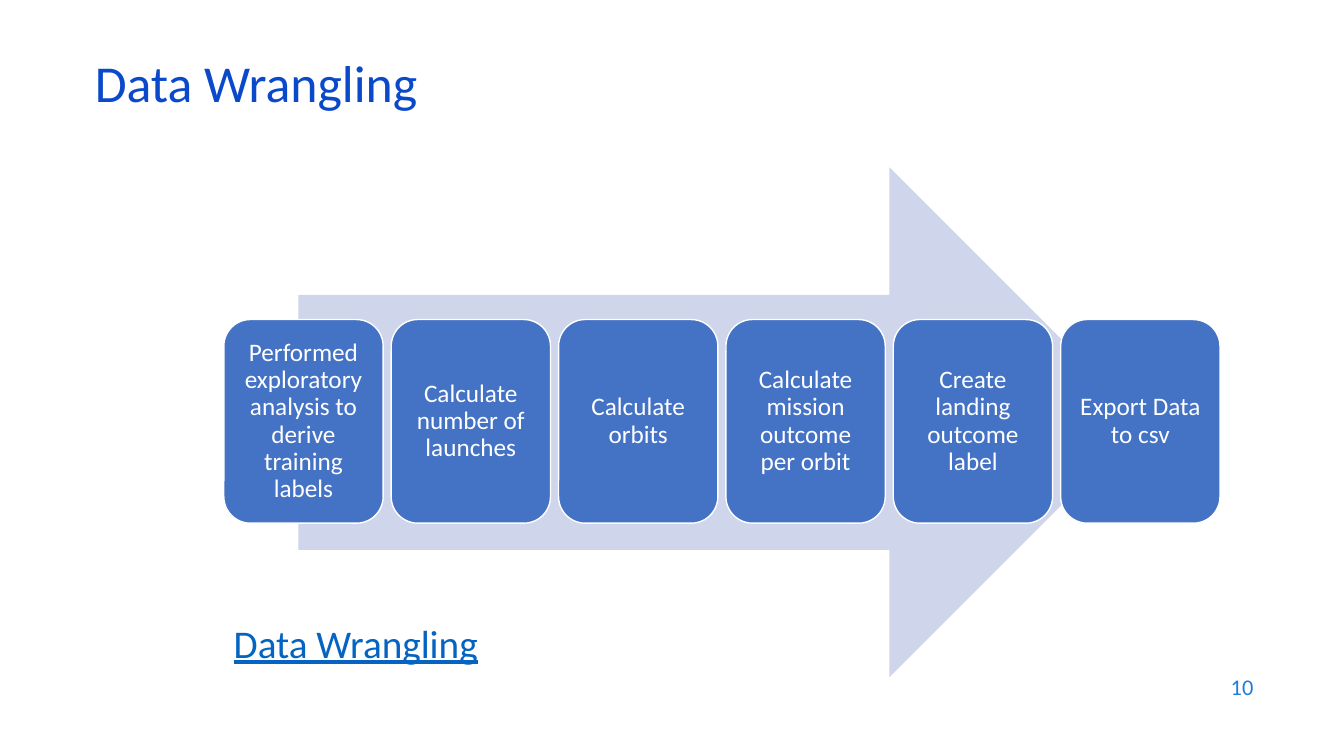
from pptx import Presentation
from pptx.dml.color import RGBColor
from pptx.enum.shapes import MSO_SHAPE
from pptx.enum.text import MSO_ANCHOR as Anchor, MSO_AUTO_SIZE as AutoSize, PP_ALIGN as Align
from pptx.util import Inches, Pt

COLORS = {
    "title": "0B49CB",
    "number": "1C7DDB",
    "arrow": "CFD5EA",
    "step": "4472C4",
    "white": "FFFFFF",
    "link": "0563C1",
}
STEPS = [
    "Performed exploratory analysis to derive training labels",
    "Calculate number of launches",
    "Calculate orbits",
    "Calculate mission outcome per orbit",
    "Create landing outcome label",
    "Export Data to csv",
]
STEP_LEFT, STEP_PITCH = 2.22, 1.66


class SlideBuilder:
    """Holds the style and the current slide."""

    font_name = "Calibri"

    def __init__(self, slide):
        self.slide = slide

    def fill_text(self, shape, text, color, size, anchor=Anchor.MIDDLE, inset=None,
                  underline=None, **paragraph_format):
        frame = shape.text_frame
        frame.text = text
        frame.word_wrap = True
        frame.auto_size = AutoSize.NONE
        frame.vertical_anchor = anchor
        if inset is not None:
            for side in ("left", "top", "right", "bottom"):
                setattr(frame, f"margin_{side}", Inches(inset))
        paragraph = frame.paragraphs[0]
        for name, value in paragraph_format.items():
            setattr(paragraph, name, value)
        font_format = {"name": self.font_name, "size": Pt(size), "underline": underline}
        font = paragraph.runs[0].font
        for name, value in font_format.items():
            setattr(font, name, value)
        font.color.rgb = RGBColor.from_string(COLORS[color])

    def title(self, text, box, **text_format):
        shape = self.slide.shapes.title
        for name, value in zip(("left", "top", "width", "height"), box):
            setattr(shape, name, Inches(value))
        self.fill_text(shape, text, **text_format)

    def text(self, text, box, **text_format):
        shape = self.slide.shapes.add_textbox(*map(Inches, box))
        self.fill_text(shape, text, **text_format)

    def shape(self, kind, box, fill, line=None):
        shape = self.slide.shapes.add_shape(kind, *map(Inches, box))
        shape.shadow.inherit = False
        shape.fill.solid()
        shape.fill.fore_color.rgb = RGBColor.from_string(COLORS[fill])
        if line:
            shape.line.color.rgb = RGBColor.from_string(COLORS[line])
            shape.line.width = Pt(1)
        else:
            shape.line.fill.background()
        return shape

    def step(self, text, box):
        shape = self.shape(MSO_SHAPE.ROUNDED_RECTANGLE, box, "step", "white")
        self.fill_text(shape, text, "white", 18, inset=0.07,
                       alignment=Align.CENTER, line_spacing=0.9)


def main():
    presentation = Presentation()
    presentation.slide_width = Inches(13.33)
    presentation.slide_height = Inches(7.5)
    title_only = presentation.slide_layouts[5]
    builder = SlideBuilder(presentation.slides.add_slide(title_only))

    # Title and page number
    builder.title("Data Wrangling", (0.84, 0.59, 11.5, 0.6), color="title", size=37,
                  alignment=Align.LEFT, line_spacing=0.7)
    builder.text("10", (9.53, 6.59, 3, 0.44), color="number", size=16,
                 alignment=Align.RIGHT)

    # Process arrow with its steps
    builder.shape(MSO_SHAPE.RIGHT_ARROW, (2.96, 1.66, 8.39, 5.06), "arrow")
    for index, step in enumerate(STEPS):
        builder.step(step, (STEP_LEFT + index * STEP_PITCH, 3.17, 1.58, 2.02))

    # Reference below the arrow
    builder.text("Data Wrangling", (STEP_LEFT, 6.09, 2.74, 0.57), color="link", size=28,
                 anchor=Anchor.TOP, underline=True)

    presentation.save("out.pptx")


if __name__ == "__main__":
    main()
